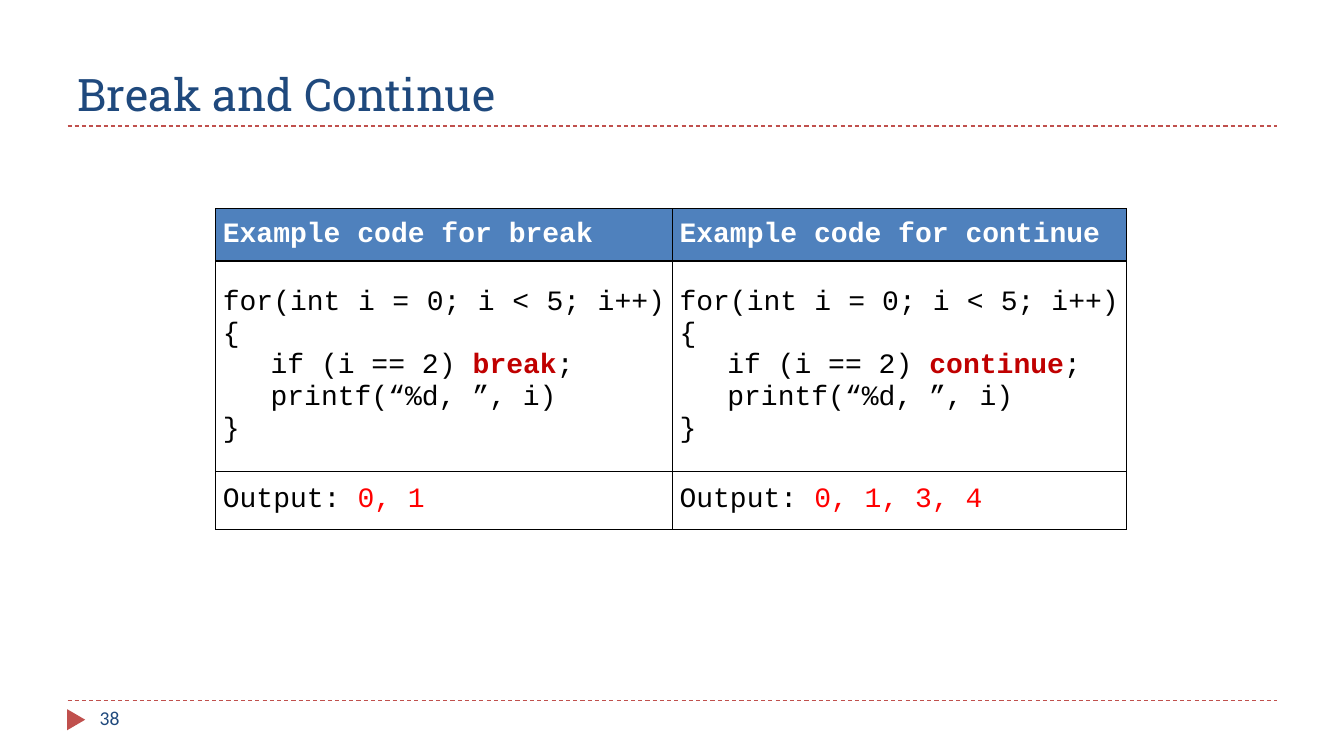
from lxml.etree import SubElement
from pptx import Presentation
from pptx.dml.color import RGBColor
from pptx.enum.dml import MSO_LINE
from pptx.enum.shapes import MSO_CONNECTOR as CONNECTOR, MSO_SHAPE as SHAPE
from pptx.enum.text import MSO_ANCHOR as ANCHOR, PP_ALIGN as ALIGN
from pptx.oxml.ns import qn
from pptx.util import Inches, Pt

NAVY, BLUE, RED = "1F497D", "4F81BD", "C0504D"
BLACK, WHITE, KEYWORD, RESULT = "000000", "FFFFFF", "C00000", "FF0000"


def color(value):
    return RGBColor.from_string(value)


def set_font(font, name, size, value, bold=False):
    font.name, font.size, font.bold = name, Pt(size), bold
    font.color.rgb = color(value)


def place(shape, box):
    shape.left, shape.top, shape.width, shape.height = map(Inches, box)


def add_rule(slide, left, top, width):
    rule = slide.shapes.add_connector(
        CONNECTOR.STRAIGHT, Inches(left), Inches(top), Inches(left + width), Inches(top))
    rule.line.color.rgb = color(RED)
    rule.line.width = Pt(0.75)
    rule.line.dash_style = MSO_LINE.DASH
    SubElement(rule._element.spPr, qn("a:effectLst"))


def add_title(slide, text, left, top, width, height):
    title = slide.shapes.title
    place(title, (left, top, width, height))
    title.text_frame.text = text
    title.text_frame.vertical_anchor = ANCHOR.BOTTOM
    paragraph = title.text_frame.paragraphs[0]
    paragraph.alignment = ALIGN.LEFT
    set_font(paragraph.font, "Roboto Slab", 32, NAVY)
    add_rule(slide, left, top + height, width)


def add_footer(slide, number, left, top, width):
    add_rule(slide, left, top, width)
    marker = slide.shapes.add_shape(
        SHAPE.ISOSCELES_TRIANGLE, Inches(left - 0.02), Inches(top + 0.1), Inches(0.21), Inches(0.18))
    marker.rotation = 90
    marker.shadow.inherit = False
    marker.fill.solid()
    marker.fill.fore_color.rgb = color(RED)
    marker.line.fill.background()
    label = slide.shapes.add_textbox(
        Inches(left + 0.22), Inches(top), Inches(2.89), Inches(0.4))
    label.text_frame.word_wrap = True
    label.text_frame.text = number
    set_font(label.text_frame.paragraphs[0].font, "Calibri", 14, NAVY)


def add_borders(cell):
    properties = cell._tc.get_or_add_tcPr()
    for side in ("a:lnL", "a:lnR", "a:lnT", "a:lnB"):
        line = SubElement(properties, qn(side), w=str(Pt(1)))
        SubElement(SubElement(line, qn("a:solidFill")), qn("a:srgbClr"), val=BLACK)


def fill_cell(cell, lines, background=None):
    cell.margin_left = cell.margin_right = Inches(0.07)
    cell.margin_top = cell.margin_bottom = 0
    cell.vertical_anchor = ANCHOR.MIDDLE
    add_borders(cell)
    if background:
        cell.fill.solid()
        cell.fill.fore_color.rgb = color(background)
    else:
        cell.fill.background()
    for index, runs in enumerate(lines):
        frame = cell.text_frame
        paragraph = frame.paragraphs[0] if index == 0 else frame.add_paragraph()
        paragraph.alignment = ALIGN.JUSTIFY
        if runs[0][0].startswith(" "):
            properties = paragraph._p.get_or_add_pPr()
            properties.set("marL", "0")
            properties.set("indent", str(Inches(0.14)))
        for text, value, bold in runs:
            run = paragraph.add_run()
            run.text = text
            set_font(run.font, "Courier New", 20, value, bold)


def add_comparison(slide, examples, left, top, widths, heights):
    table = slide.shapes.add_table(
        len(heights), len(widths), Inches(left), Inches(top),
        Inches(sum(widths)), Inches(sum(heights))).table
    table.first_row = table.horz_banding = False
    for row, height in zip(table.rows, heights):
        row.height = Inches(height)
    for index, (keyword, output) in enumerate(examples):
        table.columns[index].width = Inches(widths[index])
        code = [
            [("for(int i = 0; i < 5; i++){", BLACK, False)],
            [("  if (i == 2) ", BLACK, False), (keyword, KEYWORD, True), (";", BLACK, False)],
            [("  printf(“%d, ”, i)", BLACK, False)],
            [("}", BLACK, False)],
        ]
        fill_cell(table.cell(0, index), [[(f"Example code for {keyword}", WHITE, True)]], BLUE)
        fill_cell(table.cell(1, index), code)
        fill_cell(table.cell(2, index), [[("Output: ", BLACK, False), (output, RESULT, False)]])


def main():
    presentation = Presentation()
    presentation.slide_width, presentation.slide_height = Inches(13.33), Inches(7.5)
    slide = presentation.slides.add_slide(presentation.slide_layouts[5])
    add_title(slide, "Break and Continue", 0.67, 0.17, 12, 1.08)
    add_footer(slide, "38", 0.67, 6.95, 12)
    examples = [("break", "0, 1"), ("continue", "0, 1, 3, 4")]
    add_comparison(slide, examples, 2.14, 2.07, (4.53, 4.5), (0.52, 2.09, 0.57))
    presentation.save("out.pptx")


if __name__ == "__main__":
    main()
